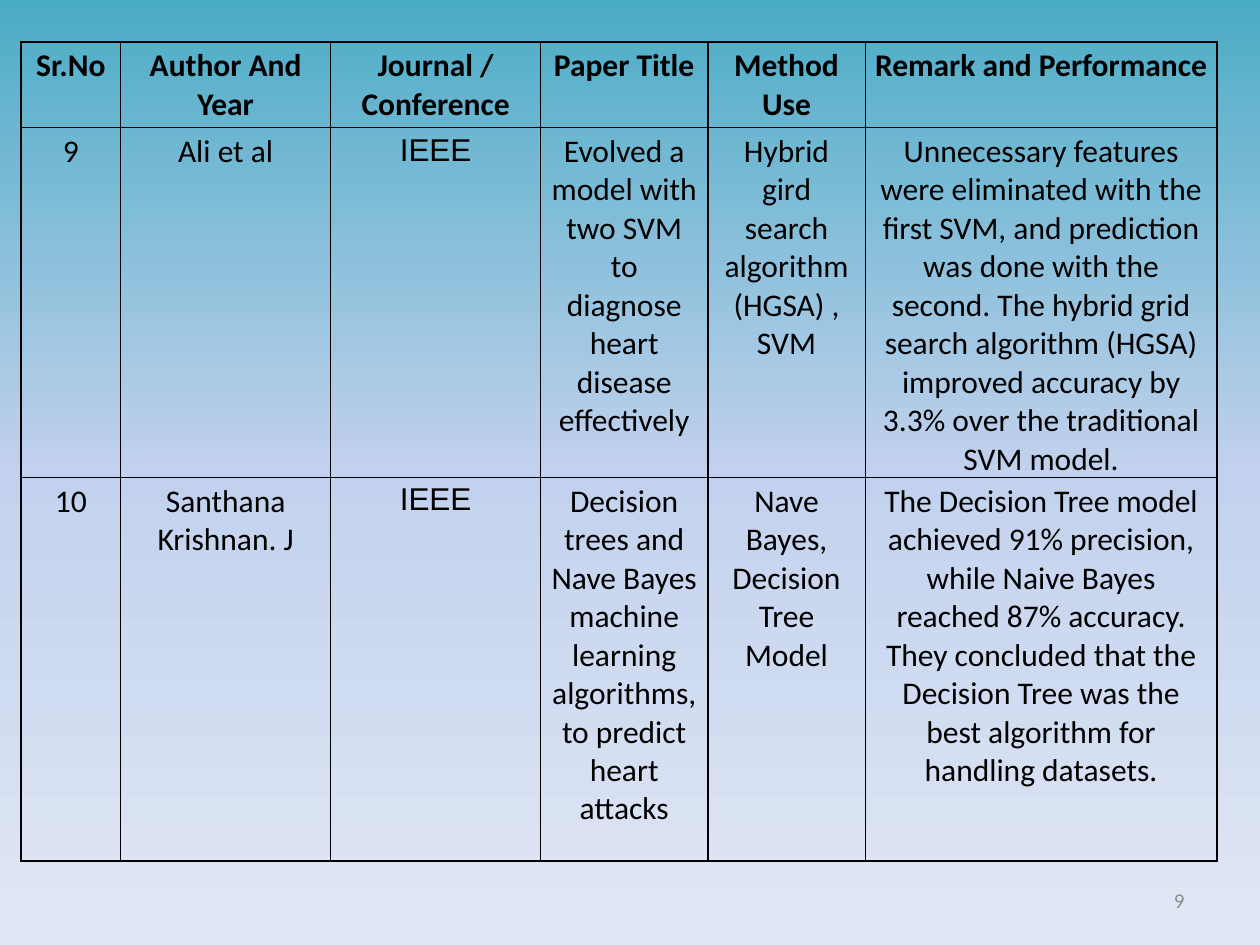
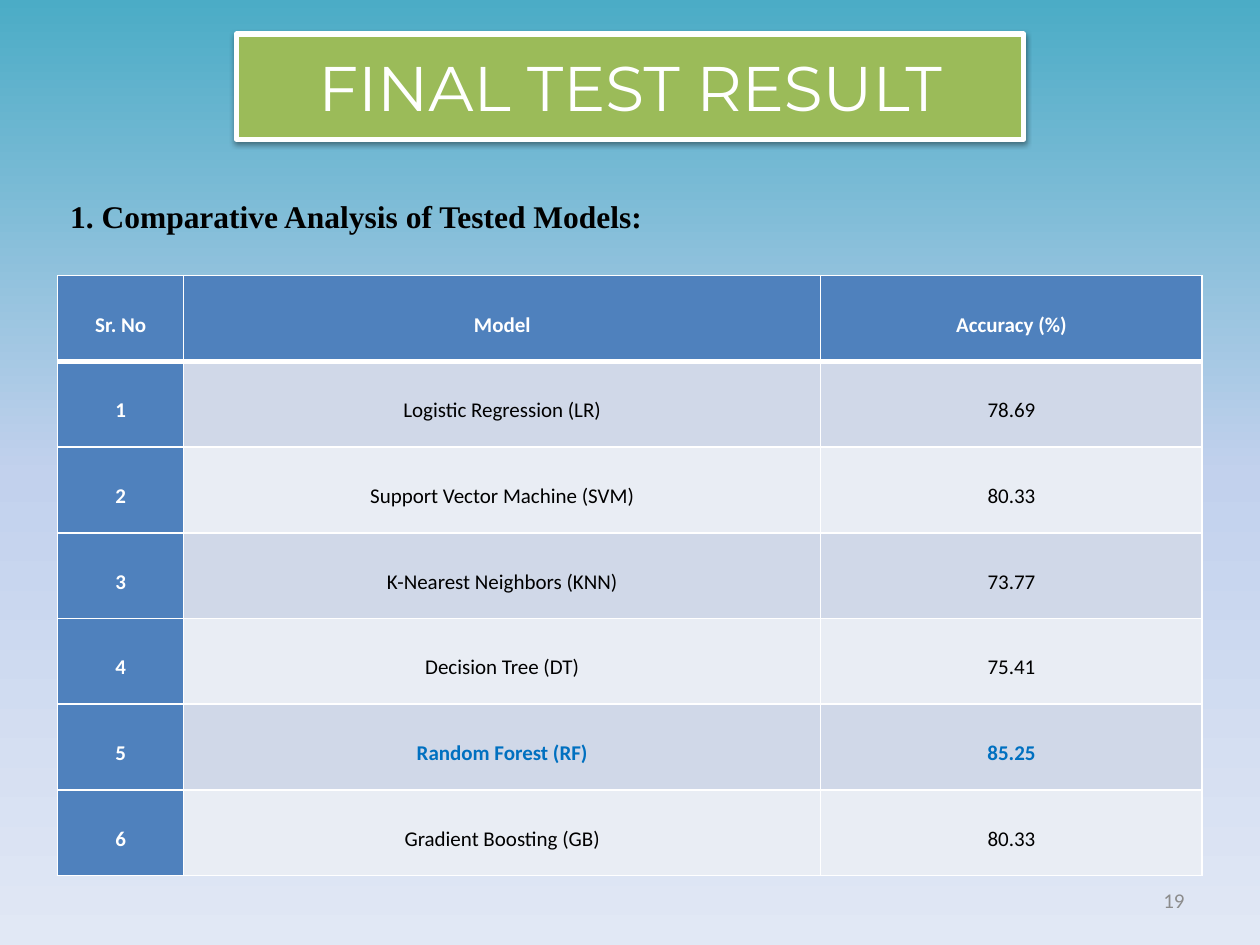
"""Build two slides: a literature survey table and the comparison of tested models."""
from copy import deepcopy
from dataclasses import dataclass

from lxml.etree import SubElement
from pptx import Presentation
from pptx.dml.color import RGBColor
from pptx.enum.text import MSO_ANCHOR, MSO_AUTO_SIZE, PP_ALIGN
from pptx.oxml.ns import qn
from pptx.util import Pt

TITLE_ONLY, BLANK = 5, 6


@dataclass(frozen=True)
class TextStyle:
    size: float
    font: str
    color: str
    bold: bool = False
    align: PP_ALIGN = PP_ALIGN.CENTER
    spacing: float = 1.0
    before: float = 0


@dataclass(frozen=True)
class Theme:
    backdrop: tuple = ((0, "4BACC6"), (0.5, "C2D1ED"), (1, "E1E8F5"))
    black: str = "000000"
    white: str = "FFFFFF"
    banner: str = "9BBB59"
    header: str = "4F81BD"
    bands: tuple = ("D0D8E8", "E9EDF4")
    title: TextStyle = TextStyle(36, "Montserrat", "FFFFFF")
    heading: TextStyle = TextStyle(18, "Times New Roman", "000000", True, PP_ALIGN.JUSTIFY, 1.5, 12)
    page: TextStyle = TextStyle(12, "Calibri", "8C8C8C", align=PP_ALIGN.RIGHT)
    survey: TextStyle = TextStyle(18, "Calibri", "000000")
    survey_head: TextStyle = TextStyle(18, "Calibri", "000000", True)
    journal: TextStyle = TextStyle(18, "Arial", "000000")
    result: TextStyle = TextStyle(12, "Calibri", "000000", spacing=1.5)
    result_head: TextStyle = TextStyle(12, "Calibri", "FFFFFF", True, spacing=1.5)
    best: TextStyle = TextStyle(12, "Calibri", "0070C0", True, spacing=1.5)


class Deck:
    def __init__(self, theme):
        self.theme = theme
        self.slide = None
        self.presentation = Presentation()
        self.presentation.slide_width, self.presentation.slide_height = Pt(720), Pt(540)
        self.paint_backdrop()

    def paint_backdrop(self):
        master = self.presentation.slide_master
        fill = master.background.fill
        fill.gradient()
        fill.gradient_angle = 270
        stops = next(master.element.iter(qn("a:gsLst")))
        stops[0].addnext(deepcopy(stops[0]))
        for stop, (position, color) in zip(fill.gradient_stops, self.theme.backdrop):
            stop.position = position
            stop.color.rgb = RGBColor.from_string(color)

    def new_slide(self, layout, number):
        self.slide = self.presentation.slides.add_slide(self.presentation.slide_layouts[layout])
        self.text(number, (516, 500, 168, 29), self.theme.page, MSO_ANCHOR.MIDDLE)

    def add_words(self, frame, words, style):
        paragraph = frame.paragraphs[0]
        paragraph.alignment = style.align
        paragraph.line_spacing = style.spacing
        paragraph.space_before = Pt(style.before)
        run = paragraph.add_run()
        run.text = words
        run.font.size, run.font.name, run.font.bold = Pt(style.size), style.font, style.bold
        run.font.color.rgb = RGBColor.from_string(style.color)

    def text(self, words, box, style, anchor=MSO_ANCHOR.TOP):
        frame = self.slide.shapes.add_textbox(*map(Pt, box)).text_frame
        frame.word_wrap = True
        frame.vertical_anchor = anchor
        self.add_words(frame, words, style)

    def title(self, words, box):
        banner = self.slide.shapes.title
        banner.left, banner.top, banner.width, banner.height = map(Pt, box)
        banner.fill.solid()
        banner.fill.fore_color.rgb = RGBColor.from_string(self.theme.banner)
        banner.line.color.rgb = RGBColor.from_string(self.theme.white)
        banner.line.width = Pt(3)
        banner.text_frame.auto_size = MSO_AUTO_SIZE.SHAPE_TO_FIT_TEXT
        self.add_words(banner.text_frame, words, self.theme.title)
        effects = SubElement(banner.element.spPr, qn("a:effectLst"))
        shadow = SubElement(effects, qn("a:outerShdw"), blurRad=str(Pt(3.1)),
                            dist=str(Pt(1.6)), dir="5400000", rotWithShape="0")
        color = SubElement(shadow, qn("a:srgbClr"), val=self.theme.black)
        SubElement(color, qn("a:alpha"), val="38000")

    def border(self, cell, color, widths):
        properties = cell._tc.get_or_add_tcPr()
        for place, (side, width) in enumerate(widths.items()):
            line = SubElement(properties, qn(f"a:ln{side}"), w=str(Pt(width)))
            fill = SubElement(line, qn("a:solidFill"))
            SubElement(fill, qn("a:srgbClr"), val=color)
            properties.insert(place, line)

    def table(self, rows, origin, widths, heights, margins, anchor, border, look, rule=1):
        box = (*origin, sum(widths), sum(heights))
        table = self.slide.shapes.add_table(len(rows), len(widths), *map(Pt, box)).table
        table.first_row = table.horz_banding = False
        for column, width in zip(table.columns, widths):
            column.width = Pt(width)
        for r, (row, height) in enumerate(zip(rows, heights)):
            table.rows[r].height = Pt(height)
            for c, words in enumerate(row):
                cell = table.cell(r, c)
                cell.margin_left = cell.margin_right = Pt(margins[0])
                cell.margin_top = cell.margin_bottom = Pt(margins[1])
                cell.vertical_anchor = anchor
                style, fill = look(r, c)
                if fill:
                    cell.fill.solid()
                    cell.fill.fore_color.rgb = RGBColor.from_string(fill)
                else:
                    cell.fill.background()
                self.add_words(cell.text_frame, words, style)
                self.border(cell, border, {"L": 1, "R": 1, "T": rule if r == 1 else 1,
                                           "B": rule if r == 0 else 1})


def survey_slide(deck):
    theme = deck.theme
    papers = [
        ("Sr.No", "Author And Year", "Journal / Conference", "Paper Title", "Method Use",
         "Remark and Performance"),
        ("9", "Ali et al", "IEEE",
         "Evolved a model with two SVM to diagnose heart disease effectively",
         "Hybrid gird search algorithm (HGSA) , SVM",
         "Unnecessary features were eliminated with the first SVM, and prediction was done "
         "with the second. The hybrid grid search algorithm (HGSA) improved accuracy by 3.3% "
         "over the traditional SVM model."),
        ("10", "Santhana Krishnan. J", "IEEE",
         "Decision trees and Nave Bayes machine learning algorithms, to predict heart attacks",
         "Nave Bayes, Decision Tree Model",
         "The Decision Tree model achieved 91% precision, while Naive Bayes reached 87% "
         "accuracy. They concluded that the Decision Tree was the best algorithm for "
         "handling datasets."),
    ]

    def look(row, column):
        if row == 0:
            return theme.survey_head, None
        return (theme.journal if column == 2 else theme.survey), None

    deck.new_slide(BLANK, "9")
    deck.table(papers, (12, 24), (57, 120, 120, 95.5, 90, 201), (49, 200, 219), (5.4, 2.7),
               MSO_ANCHOR.TOP, theme.black, look)


def result_slide(deck):
    theme = deck.theme
    scores = [
        ("Logistic Regression (LR)", "78.69"),
        ("Support Vector Machine (SVM)", "80.33"),
        ("K-Nearest Neighbors (KNN)", "73.77"),
        ("Decision Tree (DT)", "75.41"),
        ("Random Forest (RF)", "85.25"),
        ("Gradient Boosting (GB)", "80.33"),
    ]
    rows = [("Sr. No", "Model", "Accuracy (%)")]
    rows += [(str(rank), *score) for rank, score in enumerate(scores, 1)]
    best_row = 1 + max(range(len(scores)), key=lambda i: float(scores[i][1]))

    def look(row, column):
        if row == 0 or column == 0:
            return theme.result_head, theme.header
        return (theme.best if row == best_row else theme.result), theme.bands[(row - 1) % 2]

    deck.new_slide(TITLE_ONLY, "19")
    deck.title("FINAL TEST RESULT", (135, 24, 450, 51))
    deck.table(rows, (33, 157.5), (72, 364, 218), [49] * len(rows), (5, 0),
               MSO_ANCHOR.MIDDLE, theme.white, look, rule=3)
    deck.text("1. Comparative Analysis of Tested Models:", (33, 98, 360, 36), theme.heading)


def main():
    deck = Deck(Theme())
    survey_slide(deck)
    result_slide(deck)
    deck.presentation.save("out.pptx")


if __name__ == "__main__":
    main()
